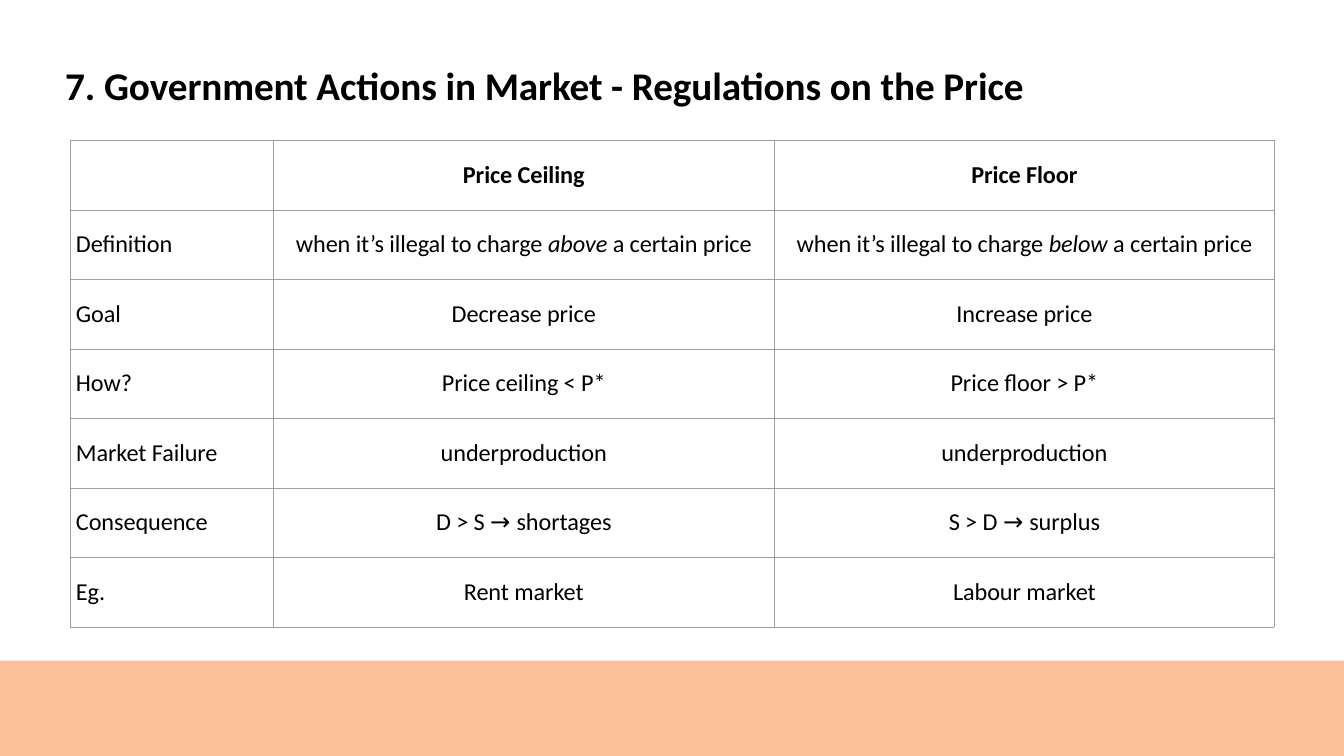
from lxml import etree
from pptx import Presentation
from pptx import util as u
from pptx.dml.color import RGBColor
from pptx.enum import shapes, text
from pptx.oxml import ns

ITALIC_WORDS = ("above ", "below ")
ARROW = "→ "

# Each cell is a list of runs.
ROWS = [
    ([], ["Price Ceiling"], ["Price Floor"]),
    (["Definition"],
     ["when it’s illegal to charge ", "above ", "a certain price"],
     ["when it’s illegal to charge ", "below ", "a certain price"]),
    (["Goal"], ["Decrease price"], ["Increase price"]),
    (["How?"], ["Price ceiling < P*"], ["Price floor > P*"]),
    (["Market Failure"], ["underproduction"], ["underproduction"]),
    (["Consequence"], ["D > S ", ARROW, "shortages"], ["S > D ", ARROW, "surplus"]),
    (["Eg."], ["Rent market"], ["Labour market"]),
]
COLUMN_WIDTHS = (3.02, 7.47, 7.43)


def color(value):
    return RGBColor.from_string(value)


class SlideBuilder:
    font = "Calibri"
    arrow_font = "Roboto"
    ink = "000000"
    band_fill = "FDC099"
    border = "9E9E9E"

    def __init__(self, slide):
        self.slide = slide

    def format_run(self, run, size, bold=False):
        run.font.name = self.arrow_font if run.text == ARROW else self.font
        run.font.size = u.Pt(size)
        run.font.bold = bold
        run.font.italic = run.text in ITALIC_WORDS
        run.font.color.rgb = color(self.ink)
        run.font._element.set("spc", "-10")

    def band(self, left, top, width, height):
        shape = self.slide.shapes.add_shape(
            shapes.MSO_SHAPE.RECTANGLE, u.Inches(left), u.Inches(top),
            u.Inches(width), u.Inches(height))
        shape.shadow.inherit = False
        shape.fill.solid()
        shape.fill.fore_color.rgb = color(self.band_fill)
        shape.line.fill.background()

    def title(self, wording, left, top, width, height):
        shape = self.slide.shapes.title
        shape.left, shape.top = u.Inches(left), u.Inches(top)
        shape.width, shape.height = u.Inches(width), u.Inches(height)
        frame = shape.text_frame
        frame.text = wording
        frame.margin_left = frame.margin_right = frame.margin_bottom = 0
        frame.margin_top = u.Inches(0.01)
        frame.vertical_anchor = text.MSO_ANCHOR.TOP
        frame.auto_size = text.MSO_AUTO_SIZE.NONE
        paragraph = frame.paragraphs[0]
        paragraph.alignment = text.PP_ALIGN.LEFT
        self.format_run(paragraph.runs[0], 42, bold=True)

    def cell_borders(self, cell):
        properties = cell._tc.get_or_add_tcPr()
        for side in ("a:lnL", "a:lnR", "a:lnT", "a:lnB"):
            line = etree.SubElement(properties, ns.qn(side), w=str(u.Pt(0.75)))
            fill = etree.SubElement(line, ns.qn("a:solidFill"))
            etree.SubElement(fill, ns.qn("a:srgbClr"), val=self.border)

    def cell(self, cell, runs, is_label, is_header):
        self.cell_borders(cell)
        cell.fill.background()
        cell.margin_left = u.Inches(0.09 if is_label else 0)
        cell.margin_right = cell.margin_bottom = 0
        cell.margin_top = u.Inches(0.29)
        paragraph = cell.text_frame.paragraphs[0]
        paragraph.alignment = text.PP_ALIGN.LEFT if is_label else text.PP_ALIGN.CENTER
        for wording in runs:
            run = paragraph.add_run()
            run.text = wording
            self.format_run(run, 26, bold=is_header)

    def table(self, rows, widths, left, top, height):
        table = self.slide.shapes.add_table(
            len(rows), len(widths), u.Inches(left), u.Inches(top),
            u.Inches(sum(widths)), u.Inches(height)).table
        table.first_row = table.horz_banding = False
        for column, width in zip(table.columns, widths):
            column.width = u.Inches(width)
        for row_index, row in enumerate(rows):
            for column_index, runs in enumerate(row):
                self.cell(table.cell(row_index, column_index), runs,
                          is_label=column_index == 0, is_header=row_index == 0)


def main():
    presentation = Presentation()
    presentation.slide_width = u.Inches(20)
    presentation.slide_height = u.Inches(11.25)
    builder = SlideBuilder(presentation.slides.add_slide(presentation.slide_layouts[5]))
    builder.band(0, 9.83, 20, 1.42)
    builder.title("7. Government Actions in Market - Regulations on the Price",
                  0.97, 0.9, 14.6, 0.73)
    builder.table(ROWS, COLUMN_WIDTHS, 1.04, 2.09, 7.24)
    presentation.save("out.pptx")


if __name__ == "__main__":
    main()
